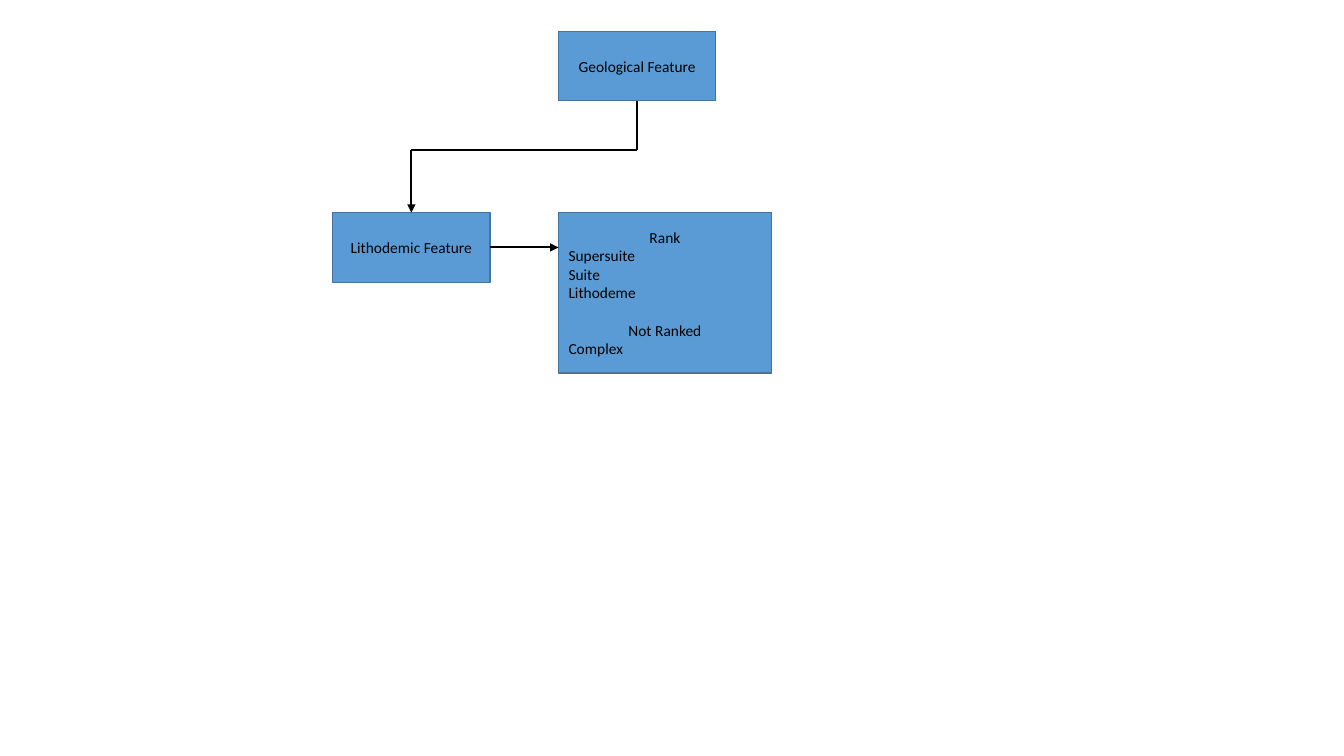
from lxml import etree
from pptx import Presentation
from pptx import util as u
from pptx.dml.color import RGBColor
from pptx.enum import shapes, text
from pptx.oxml.ns import qn

COLOURS = {"fill": "5B9BD5", "border": "43739E", "ink": "000000"}
FONT, SIZE, LINE_HEIGHT = "Calibri", 11, 13.4
SLIDE_WIDTH, SLIDE_HEIGHT = 13.33, 7.5
NODE_WIDTH, NODE_HEIGHT = 1.56, 0.69
CENTRE, LEFT = text.PP_ALIGN.CENTER, text.PP_ALIGN.LEFT


def colour(name):
    """Return the named colour of the palette."""
    return RGBColor.from_string(COLOURS[name])


def add_box(page, area, lines):
    """Draw a filled box; each line is (wording, alignment, space before)."""
    box = page.shapes.add_shape(shapes.MSO_SHAPE.RECTANGLE, *map(u.Inches, area))
    box.shadow.inherit = False
    box.fill.solid()
    box.fill.fore_color.rgb = colour("fill")
    box.line.color.rgb = colour("border")
    box.line.width = u.Pt(1)
    frame = box.text_frame
    frame.word_wrap = True
    frame.vertical_anchor = text.MSO_ANCHOR.MIDDLE
    for index, (wording, alignment, gap) in enumerate(lines):
        para = frame.add_paragraph() if index else frame.paragraphs[0]
        para.alignment = alignment
        para.space_before = u.Pt(gap)
        span = para.add_run()
        span.text = wording
        span.font.name = FONT
        span.font.size = u.Pt(SIZE)
        span.font.color.rgb = colour("ink")
    return box


def add_line(page, start, end, arrow=False):
    """Draw a straight line between two points, with an optional arrowhead."""
    line = page.shapes.add_connector(
        shapes.MSO_CONNECTOR.STRAIGHT, *map(u.Inches, (*start, *end)))
    line.line.color.rgb = colour("ink")
    line.line.width = u.Pt(1.5)
    if arrow:
        etree.SubElement(line.line._get_or_add_ln(), qn("a:tailEnd"), type="triangle")
    etree.SubElement(line._element.spPr, qn("a:effectLst"))
    return line


def add_hierarchy(page, area):
    """Draw the feature boxes, the rank list and their links inside an area."""
    left, top, width, height = area
    right_column, lower_row = left + 2.24, top + 1.8
    parent_x, child_x = right_column + NODE_WIDTH / 2, left + NODE_WIDTH / 2
    parent_bottom, bend = top + NODE_HEIGHT, top + 1.18
    middle = lower_row + NODE_HEIGHT / 2

    add_box(page, (right_column, top, NODE_WIDTH, NODE_HEIGHT),
            [("Geological Feature", CENTRE, 0)])
    add_box(page, (left, lower_row, NODE_WIDTH, NODE_HEIGHT),
            [("Lithodemic Feature", CENTRE, 0)])
    add_box(page, (right_column, lower_row, left + width - right_column,
                   top + height - lower_row),
            [("Rank", CENTRE, 0), ("Supersuite", LEFT, 0), ("Suite", LEFT, 0),
             ("Lithodeme", LEFT, 0), ("Not Ranked", CENTRE, LINE_HEIGHT),
             ("Complex", LEFT, 0)])

    add_line(page, (parent_x, parent_bottom), (parent_x, bend))
    add_line(page, (parent_x, bend), (child_x, bend))
    add_line(page, (child_x, bend), (child_x, lower_row), arrow=True)
    add_line(page, (left + NODE_WIDTH, middle), (right_column, middle), arrow=True)


def main():
    """Build and save the deck."""
    deck = Presentation()
    deck.slide_width = u.Inches(SLIDE_WIDTH)
    deck.slide_height = u.Inches(SLIDE_HEIGHT)
    page = deck.slides.add_slide(deck.slide_layouts[6])
    add_hierarchy(page, (3.3, 0.31, 4.35, 3.39))
    deck.save("out.pptx")


main()
